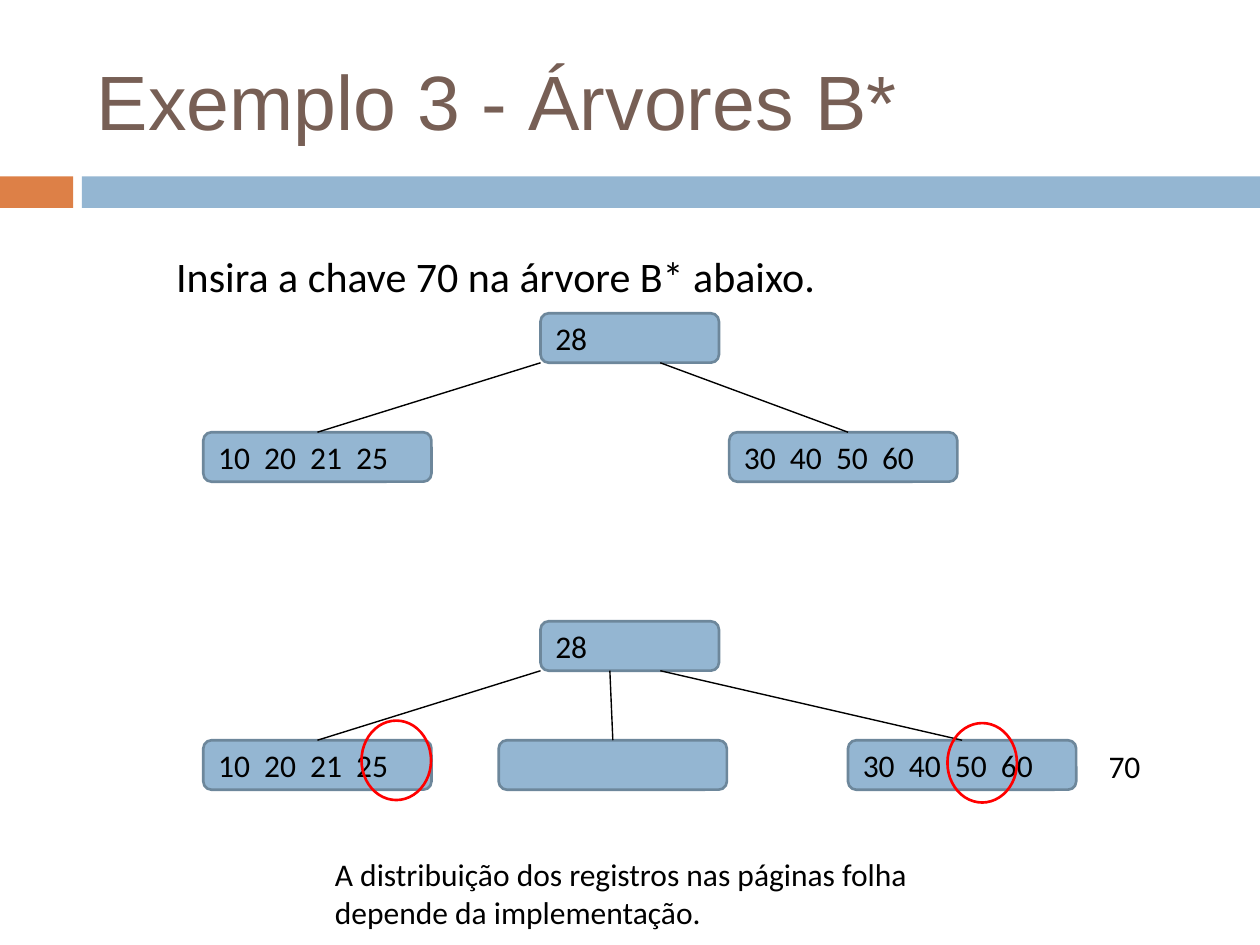
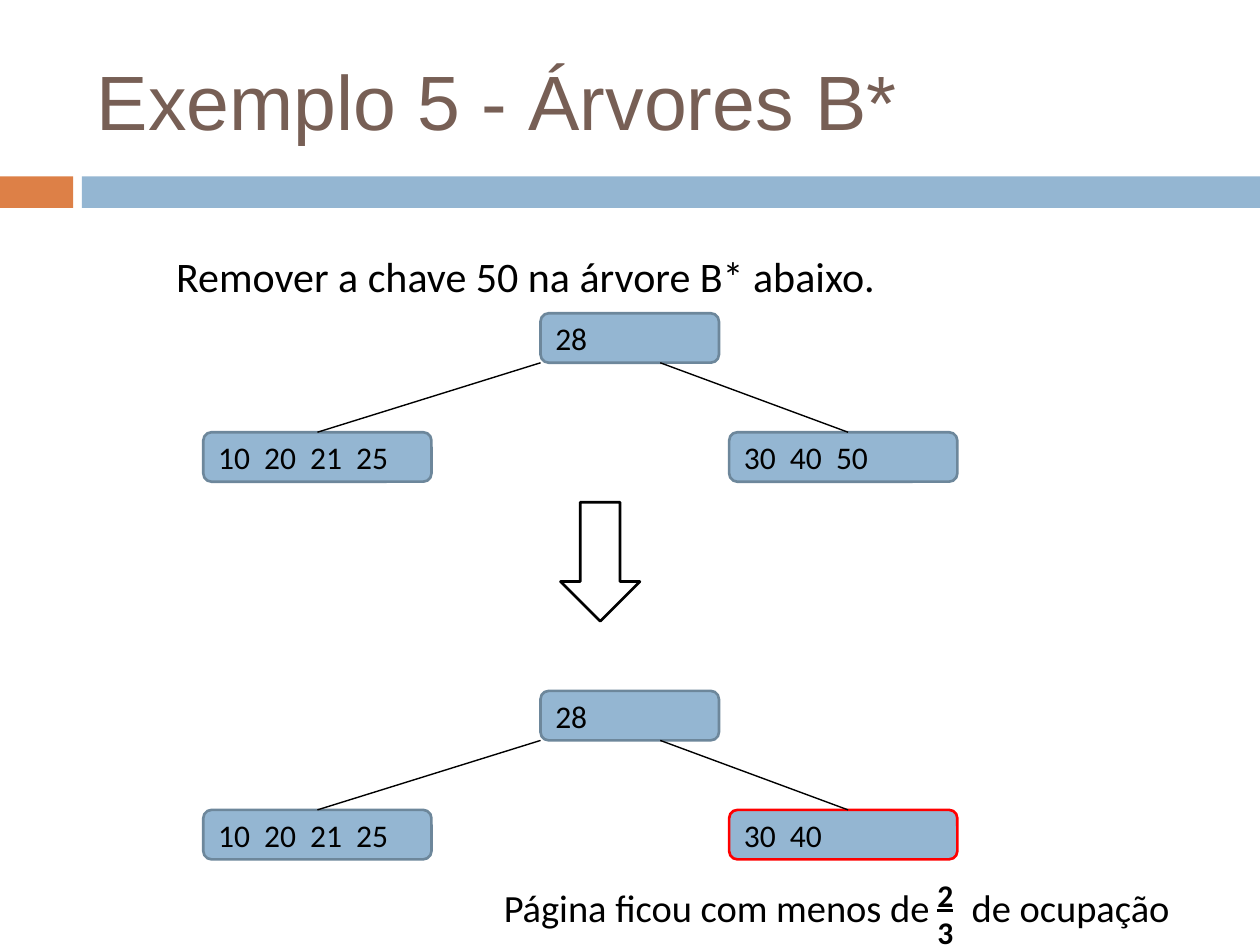
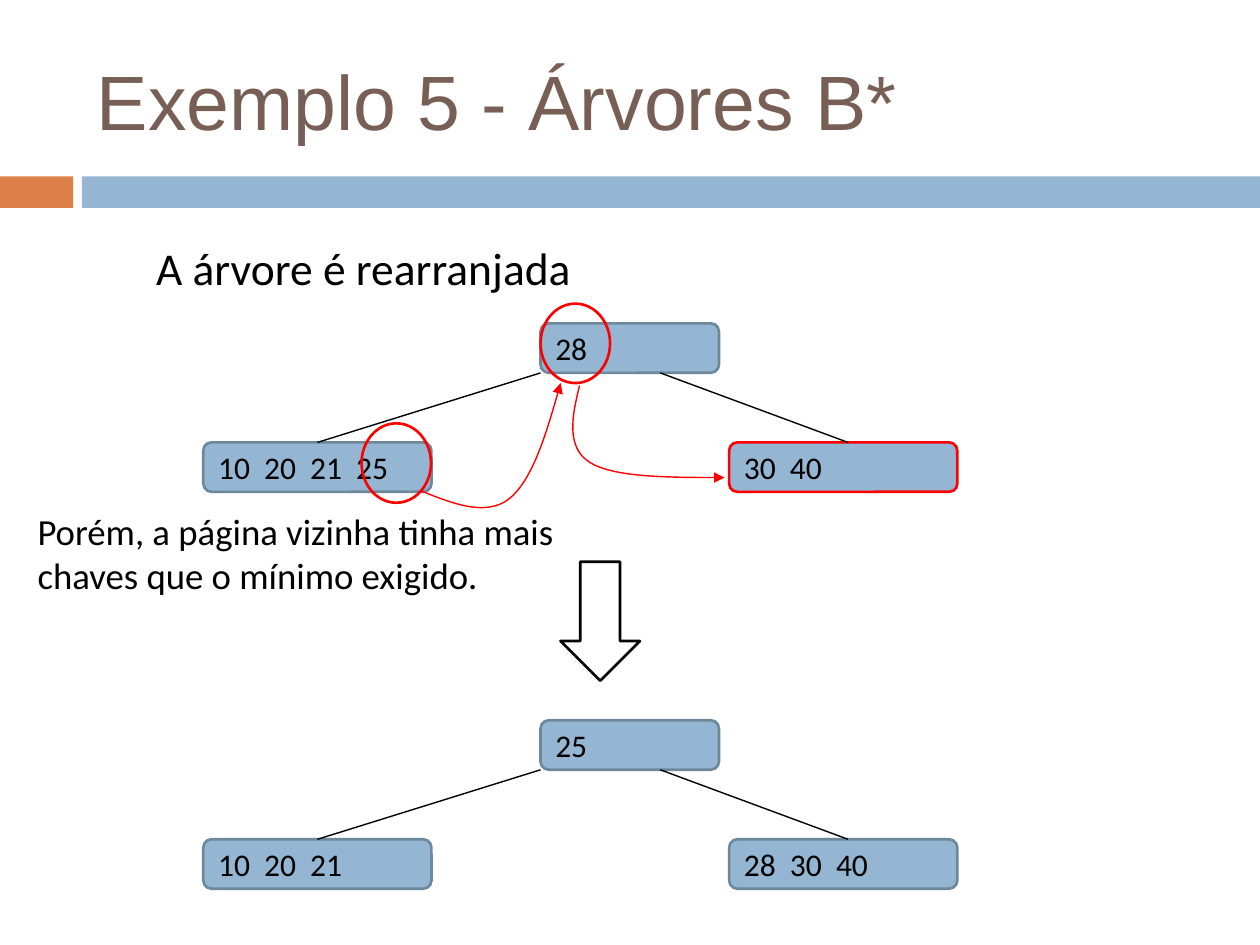
from lxml import etree
from pptx import Presentation
from pptx.dml.color import RGBColor
from pptx.enum.shapes import MSO_CONNECTOR, MSO_SHAPE
from pptx.enum.text import MSO_ANCHOR, PP_ALIGN
from pptx.oxml.ns import qn
from pptx.util import Pt

RECT, ROUND = MSO_SHAPE.RECTANGLE, MSO_SHAPE.ROUNDED_RECTANGLE
OVAL, DOWN = MSO_SHAPE.OVAL, MSO_SHAPE.DOWN_ARROW
STRAIGHT = MSO_CONNECTOR.STRAIGHT
TOP, MIDDLE = MSO_ANCHOR.TOP, MSO_ANCHOR.MIDDLE
LEFT = PP_ALIGN.LEFT

ORANGE, BLUE, BROWN = "DD8047", "94B6D2", "775F55"
EDGE, RED, BLACK = "6D879B", "FF0000", "000000"

BANDS = [(0, 41.8, ORANGE), (46.8, 673.2, BLUE)]
BAND_TOP, BAND_H = 100.8, 18
TITLE_BOX = (48.2, 18, 642.2, 77.8)

ROOT_X, ROOT_W, LEAF_W, NODE_H = 308.9, 102, 130.4, 28.3
LEVEL_STEP, KEY_STEP = 68, 26.3
SLOTS = {
    "left": {"x": 116.2, "join": 181.4, "exit": 308.9},
    "middle": {"x": 285, "join": 350.2, "exit": 348.5},
    "right": {"x": 416.7, "join": 484.6, "exit": 377.3},
    "far": {"x": 484.6, "join": 549.8, "exit": 377.3},
}
RING_W, RING_H = 39.7, 45.4
ARROW_X, ARROW_W, ARROW_H = 320.3, 45.4, 68
CURVE_STEPS = 16

SLIDES = [
    {
        "title": "Exemplo 3 - Árvores B*",
        "notes": [
            ((93.6, 139.7, 555.8, 36), 24, "Insira a chave 70 na árvore B* abaixo."),
            ((626.4, 423.4, 45.4, 28.8), 18, "70"),
            ((184.3, 485.3, 368.6, 51.1), 18,
             "A distribuição dos registros nas páginas folha depende da implementação."),
        ],
        "trees": [
            (179, "28", [("left", "10 20 21 25", EDGE), ("right", "30 40 50 60", EDGE)]),
            (355, "28", [("left", "10 20 21 25", EDGE), ("far", "30 40 50 60", EDGE),
                         ("middle", "", EDGE)]),
        ],
        "rings": [(206.6, 411.8), (541.4, 413.2)],
    },
    {
        "title": "Exemplo 5 - Árvores B*",
        "notes": [
            ((93.6, 139.7, 555.8, 36), 24, "Remover a chave 50 na árvore B* abaixo."),
            ((280.8, 501.8, 439.2, 33.8), 22, "Página ficou com menos de\tde ocupação", 267.4),
        ],
        "trees": [
            (179, "28", [("left", "10 20 21 25", EDGE), ("right", "30 40 50", EDGE)]),
            (394.8, "28", [("left", "10 20 21 25", EDGE), ("right", "30 40", RED)]),
        ],
        "arrow": 287,
        "fraction": ((528.5, 496.8, 28.1, 51.1), "2", "3"),
    },
    {
        "title": "Exemplo 5 - Árvores B*",
        "notes": [
            ((82.1, 133.9, 555.8, 38.9), 26, "A árvore é rearranjada"),
            ((14.4, 287.3, 348.5, 58.3), 21,
             "Porém, a página vizinha tinha mais chaves que o mínimo exigido."),
        ],
        "trees": [
            (184.8, "28", [("left", "10 20 21 25", EDGE), ("right", "30 40", RED)]),
            (411.6, "25", [("left", "10 20 21", EDGE), ("right", "28 30 40", EDGE)]),
        ],
        "arrow": 321,
        "curves": [
            [(241.2, 280.8), (259.2, 288), (277.9, 295.2), (290.9, 285.1),
             (304.6, 274.3), (312.5, 247), (320.4, 218.9)],
            [(331.2, 220.3), (326.9, 237.6), (323.3, 255.6), (337, 264.2),
             (350.6, 272.9), (382.3, 272.9), (414, 272.9)],
        ],
        "rings": [(206.6, 241.9), (308.9, 173.5)],
    },
]


def rgb(color):
    return RGBColor.from_string(color)


def pts(values):
    return [Pt(v) for v in values]


def add_run(p, text, size, color=BLACK, font="Calibri", bold=None, underline=None):
    r = p.add_run()
    r.text = text
    f = r.font
    f.size, f.name, f.bold, f.underline = Pt(size), font, bold, underline
    f.color.rgb = rgb(color)


def set_tabs(p, stops):
    tabs = etree.SubElement(p._p.get_or_add_pPr(), qn("a:tabLst"))
    for stop in stops:
        etree.SubElement(tabs, qn("a:tab"), pos=str(Pt(stop)), algn="l")


def text_box(s, box, anchor=TOP):
    tf = s.shapes.add_textbox(*pts(box)).text_frame
    tf.word_wrap = True
    tf.vertical_anchor = anchor
    return tf


def style(sp, fill=None, line=None, width=1.5):
    sp.shadow.inherit = False
    if fill:
        sp.fill.solid()
        sp.fill.fore_color.rgb = rgb(fill)
    else:
        sp.fill.background()
    if line:
        sp.line.color.rgb = rgb(line)
        sp.line.width = Pt(width)
    else:
        sp.line.fill.background()


def add_shape(s, kind, box, fill=None, line=None):
    sp = s.shapes.add_shape(kind, *pts(box))
    style(sp, fill, line)
    return sp


def add_node(s, x, y, w, keys, line=EDGE):
    tf = add_shape(s, ROUND, (x, y, w, NODE_H), BLUE, line).text_frame
    tf.vertical_anchor = MIDDLE
    if keys:
        p = tf.paragraphs[0]
        p.alignment = LEFT
        keys = keys.split()
        if len(keys) > 1:
            set_tabs(p, [KEY_STEP * i for i in range(1, len(keys))])
        add_run(p, "\t".join(keys), 18)


def add_tree(s, top, root, leaves):
    add_node(s, ROOT_X, top, ROOT_W, root)
    leaf_top = top + LEVEL_STEP
    for name, keys, line in leaves:
        slot = SLOTS[name]
        add_node(s, slot["x"], leaf_top, LEAF_W, keys, line)
        link = s.shapes.add_connector(
            STRAIGHT, *pts((slot["join"], leaf_top, slot["exit"], top + NODE_H)))
        link.line.color.rgb = rgb(BLACK)
        link.line.width = Pt(0.79)
        etree.SubElement(link._element.spPr, qn("a:effectLst"))


def bezier(a, b, c, d, t):
    u = 1 - t
    return tuple(u**3 * i + 3 * u * u * t * j + 3 * u * t * t * k + t**3 * m
                 for i, j, k, m in zip(a, b, c, d))


def add_curve(s, points):
    trail = [bezier(*points[i:i + 4], n / CURVE_STEPS)
             for i in range(0, len(points) - 1, 3) for n in range(1, CURVE_STEPS + 1)]
    builder = s.shapes.build_freeform(*pts(points[0]))
    builder.add_line_segments([pts(xy) for xy in trail], close=False)
    sp = builder.convert_to_shape()
    style(sp, None, RED, 0.79)
    etree.SubElement(sp.line._get_or_add_ln(), qn("a:tailEnd"), type="triangle")


def add_frame(s, title):
    for x, w, color in BANDS:
        add_shape(s, RECT, (x, BAND_TOP, w, BAND_H), color)
    add_run(text_box(s, TITLE_BOX, MIDDLE).paragraphs[0], title, 44, BROWN, "Arial")


def build_slide(prs, data):
    s = prs.slides.add_slide(prs.slide_layouts[6])
    add_frame(s, data["title"])
    for box, size, text, *stops in data["notes"]:
        p = text_box(s, box).paragraphs[0]
        if stops:
            set_tabs(p, stops)
        add_run(p, text, size)
    for tree in data["trees"]:
        add_tree(s, *tree)
    if "arrow" in data:
        add_shape(s, DOWN, (ARROW_X, data["arrow"], ARROW_W, ARROW_H), None, BLACK)
    if "fraction" in data:
        box, upper, lower = data["fraction"]
        tf = text_box(s, box)
        add_run(tf.paragraphs[0], upper, 18, bold=True, underline=True)
        add_run(tf.add_paragraph(), lower, 18, bold=True)
    for curve in data.get("curves", []):
        add_curve(s, curve)
    for x, y in data.get("rings", []):
        add_shape(s, OVAL, (x, y, RING_W, RING_H), None, RED)


def main():
    prs = Presentation()
    prs.slide_width, prs.slide_height = Pt(720), Pt(540)
    for data in SLIDES:
        build_slide(prs, data)
    prs.save("out.pptx")


if __name__ == "__main__":
    main()
